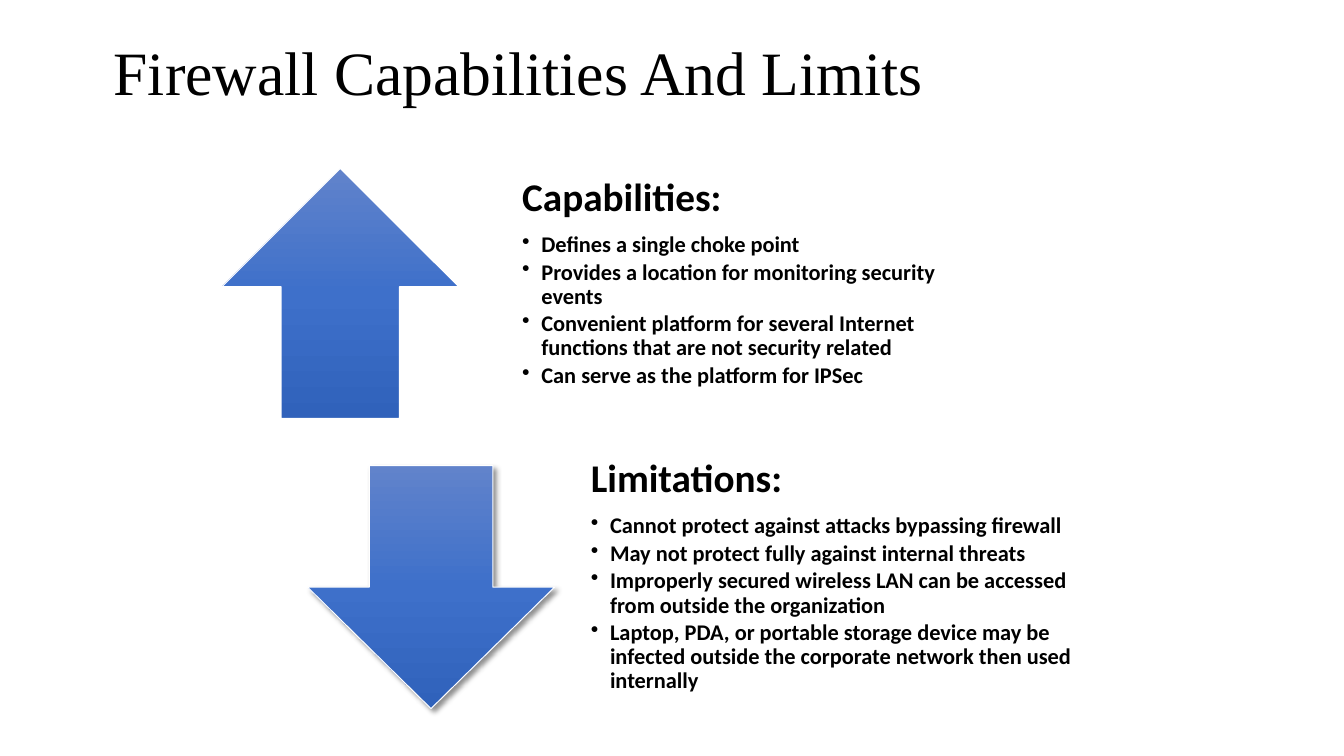
import copy

import pptx
import pptx.dml.color
import pptx.enum.shapes
import pptx.enum.text
import pptx.oxml
import pptx.oxml.ns
import pptx.util
from pptx.util import Inches

ARROW_GRADIENT = [(0, "6183CB"), (0.5, "3E70CA"), (1, "3062BB")]
HEADING_FORMAT = {"name": "Calibri", "size": pptx.util.Pt(28), "bold": True}
POINT_FORMAT = {"name": "Calibri", "size": pptx.util.Pt(16), "bold": True}
TITLE_FORMAT = {"name": "Times New Roman", "size": pptx.util.Pt(44), "bold": False}
LIST_INSETS = {
    "margin_left": Inches(0.22),
    "margin_top": Inches(0),
    "margin_right": Inches(0.22),
    "margin_bottom": Inches(0.22),
}
SECTIONS = [
    {
        "direction": "UP_ARROW",
        "arrow_box": (2.2, 1.67, 2.35, 2.48),
        "shadow": "FFFFFF",
        "list_box": (4.96, 1.57, 5.04, 2.69),
        "heading": "Capabilities:",
        "points": [
            "Defines a single choke point",
            "Provides a location for monitoring security events",
            "Convenient platform for several Internet functions that are not security related",
            "Can serve as the platform for IPSec",
        ],
    },
    {
        "direction": "DOWN_ARROW",
        "arrow_box": (3.05, 4.62, 2.45, 2.41),
        "shadow": "000000",
        "list_box": (5.64, 4.23, 5.52, 3.19),
        "heading": "Limitations:",
        "points": [
            "Cannot protect against attacks bypassing firewall",
            "May not protect fully against internal threats",
            "Improperly secured wireless LAN can be accessed from outside the organization",
            "Laptop, PDA, or portable storage device may be infected outside the corporate network then used internally",
        ],
    },
]


def color(hex_value):
    return pptx.dml.color.RGBColor.from_string(hex_value)


def set_values(target, values):
    for name, value in values.items():
        setattr(target, name, value)


def add_frame(slide, box):
    frame = slide.shapes.add_textbox(*map(Inches, box)).text_frame
    set_values(frame, {
        "word_wrap": True,
        "vertical_anchor": pptx.enum.text.MSO_ANCHOR.MIDDLE,
    })
    return frame


def write_line(line, text, font_format, space_after=0):
    line.text = text
    line.line_spacing = 0.9
    line.space_after = pptx.util.Pt(space_after)
    set_values(line.font, font_format)
    set_values(line.runs[0].font, font_format)
    line.runs[0].font.color.rgb = color("000000")


def add_bullet(line):
    properties = line._p.get_or_add_pPr()
    properties.set("marL", str(Inches(0.19)))
    properties.set("indent", str(-Inches(0.19)))
    properties.append(pptx.oxml.parse_xml(
        f'<a:buChar {pptx.oxml.ns.nsdecls("a")} char="•"/>'
    ))


def add_title(slide, box, text):
    write_line(add_frame(slide, box).paragraphs[0], text, TITLE_FORMAT)


def add_arrow(slide, box, direction, shadow_color):
    kind = getattr(pptx.enum.shapes.MSO_SHAPE, direction)
    arrow = slide.shapes.add_shape(kind, *map(Inches, box))
    arrow.fill.gradient()
    arrow.fill.gradient_angle = 270
    stop_list = arrow._element.spPr.find(".//" + pptx.oxml.ns.qn("a:gsLst"))
    stop_list.append(copy.deepcopy(stop_list[-1]))
    for stop, (position, hex_value) in zip(arrow.fill.gradient_stops, ARROW_GRADIENT):
        stop.position = position
        stop.color.rgb = color(hex_value)
    arrow.line.color.rgb = color("FFFFFF")
    arrow.line.width = pptx.util.Pt(0.75)
    arrow.shadow.inherit = False
    effects = arrow._element.spPr.find(pptx.oxml.ns.qn("a:effectLst"))
    effects.append(pptx.oxml.parse_xml(
        f'<a:outerShdw {pptx.oxml.ns.nsdecls("a")} blurRad="{pptx.util.Pt(4)}" '
        f'dist="{pptx.util.Pt(3)}" dir="2700000" algn="ctr" rotWithShape="0">'
        f'<a:srgbClr val="{shadow_color}"><a:alpha val="43000"/></a:srgbClr>'
        '</a:outerShdw>'
    ))


def add_list(slide, box, heading, points):
    frame = add_frame(slide, box)
    set_values(frame, LIST_INSETS)
    write_line(frame.paragraphs[0], heading, HEADING_FORMAT, 9.8)
    for point in points:
        line = frame.add_paragraph()
        line.level = 1
        line.line_spacing = 0.9
        line.space_after = pptx.util.Pt(2.4)
        add_bullet(line)
        write_line(line, point, POINT_FORMAT, 2.4)


def main():
    deck = pptx.Presentation()
    deck.slide_width, deck.slide_height = Inches(13.33), Inches(7.5)
    slide = deck.slides.add_slide(deck.slide_layouts[6])
    add_title(slide, (1.03, 0.21, 9, 1.07), "Firewall Capabilities And Limits")
    for section in SECTIONS:
        add_arrow(slide, section["arrow_box"], section["direction"], section["shadow"])
        add_list(slide, section["list_box"], section["heading"], section["points"])
    deck.save("out.pptx")


if __name__ == "__main__":
    main()
